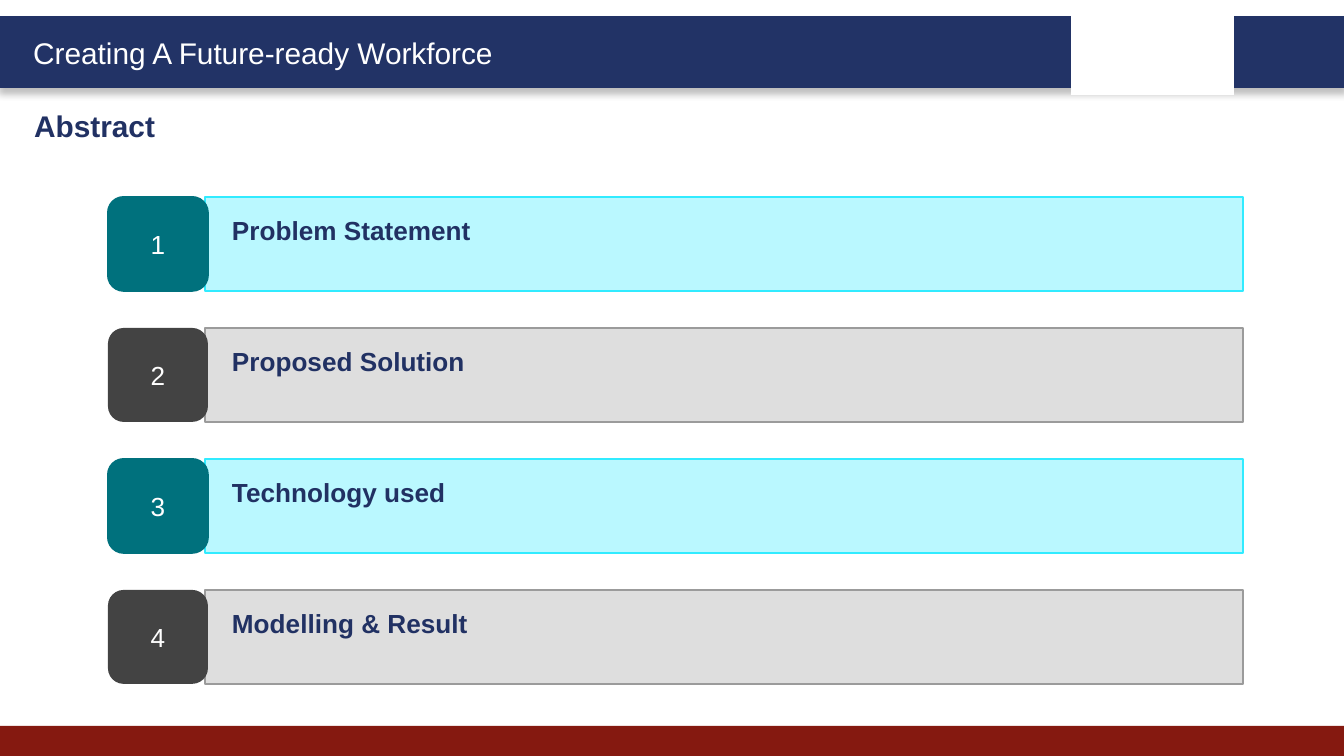
import pptx
import pptx.util
import pptx.dml.color
import pptx.enum.shapes
import pptx.enum.text
import pptx.oxml
import pptx.oxml.ns

PX = 914400 / 134.4  # EMU in one px
FONT = "Arial"
COLORS = {
    "white": "FFFFFF", "navy": "223366", "heading": "213163", "red": "851910",
    "teal": "00717D", "aqua": "BAF8FF", "aqua_line": "31EBFF",
    "dark": "434343", "grey": "DEDEDE", "grey_line": "9B9B9B",
}
TOPICS = ["Problem Statement", "Proposed Solution", "Technology used", "Modelling & Result"]
# Alternating row styles: bar fill, bar line, badge fill, badge line
ROW_STYLES = [("aqua", "aqua_line", "teal", "teal"), ("grey", "grey_line", "dark", None)]
ROW_TOP, ROW_PITCH, ROW_HEIGHT = 197, 131, 94
RECT = pptx.enum.shapes.MSO_SHAPE.RECTANGLE
ROUNDED = pptx.enum.shapes.MSO_SHAPE.ROUNDED_RECTANGLE
ANCHOR = pptx.enum.text.MSO_ANCHOR
ALIGN = pptx.enum.text.PP_ALIGN


def px(n):
    return pptx.util.Emu(round(n * PX))


def rgb(name):
    return pptx.dml.color.RGBColor.from_string(COLORS[name])


def add_block(s, box, fill, line=None, width=1, kind=RECT):
    sp = s.shapes.add_shape(kind, *map(px, box))
    sp.shadow.inherit = False
    sp.fill.solid()
    sp.fill.fore_color.rgb = rgb(fill)
    if line:
        sp.line.color.rgb = rgb(line)
        sp.line.width = pptx.util.Pt(width)
    else:
        sp.line.fill.background()
    return sp


def add_drop_shadow(sp):
    effects = sp._element.spPr.find(pptx.oxml.ns.qn("a:effectLst"))
    effects.append(pptx.oxml.parse_xml(
        f'<a:outerShdw {pptx.oxml.ns.nsdecls("a")} blurRad="50800" dist="38100" dir="5400000"'
        ' algn="t" rotWithShape="0"><a:srgbClr val="000000"><a:alpha val="25000"/>'
        '</a:srgbClr></a:outerShdw>'))


def write(sp, text, size, color, bold=False, align=ALIGN.LEFT, **frame):
    tf = sp.text_frame
    for name, value in {"word_wrap": True, **frame}.items():
        setattr(tf, name, value)
    p = tf.paragraphs[0]
    p.alignment = align
    r = p.add_run()
    r.text = text
    r.font.color.rgb = rgb(color)
    for name, value in {"name": FONT, "size": pptx.util.Pt(size), "bold": bold}.items():
        setattr(r.font, name, value)


def add_label(s, box, text, color, bold=False):
    write(s.shapes.add_textbox(*map(px, box)), text, 16, color, bold)


def add_topic(s, index, topic):
    top = ROW_TOP + index * ROW_PITCH
    fill, line, badge_fill, badge_line = ROW_STYLES[index % 2]
    bar = add_block(s, (205, top, 1038, ROW_HEIGHT), fill, line)
    write(bar, topic, 14, "heading", True, vertical_anchor=ANCHOR.TOP,
          margin_left=px(27), margin_top=px(17))
    badge = add_block(s, (108, top, 100, ROW_HEIGHT), badge_fill, badge_line, kind=ROUNDED)
    write(badge, str(index + 1), 14, "white", align=ALIGN.CENTER, vertical_anchor=ANCHOR.MIDDLE)


def main():
    prs = pptx.Presentation()
    prs.slide_width, prs.slide_height = px(1344), px(756)
    s = prs.slides.add_slide(prs.slide_layouts[6])

    # Header and footer bands
    add_drop_shadow(add_block(s, (0, 18, 1344, 68), "navy", "navy", 2))
    add_block(s, (0, 726, 1344, 30), "red")
    add_block(s, (1071, 9, 163, 86), "white")

    # Titles
    add_label(s, (20, 28, 508, 50), "Creating A Future-ready Workforce", "white")
    add_label(s, (21, 101, 650, 50), "Abstract", "heading", True)

    # Numbered topics
    for index, topic in enumerate(TOPICS):
        add_topic(s, index, topic)

    prs.save("out.pptx")


if __name__ == "__main__":
    main()
